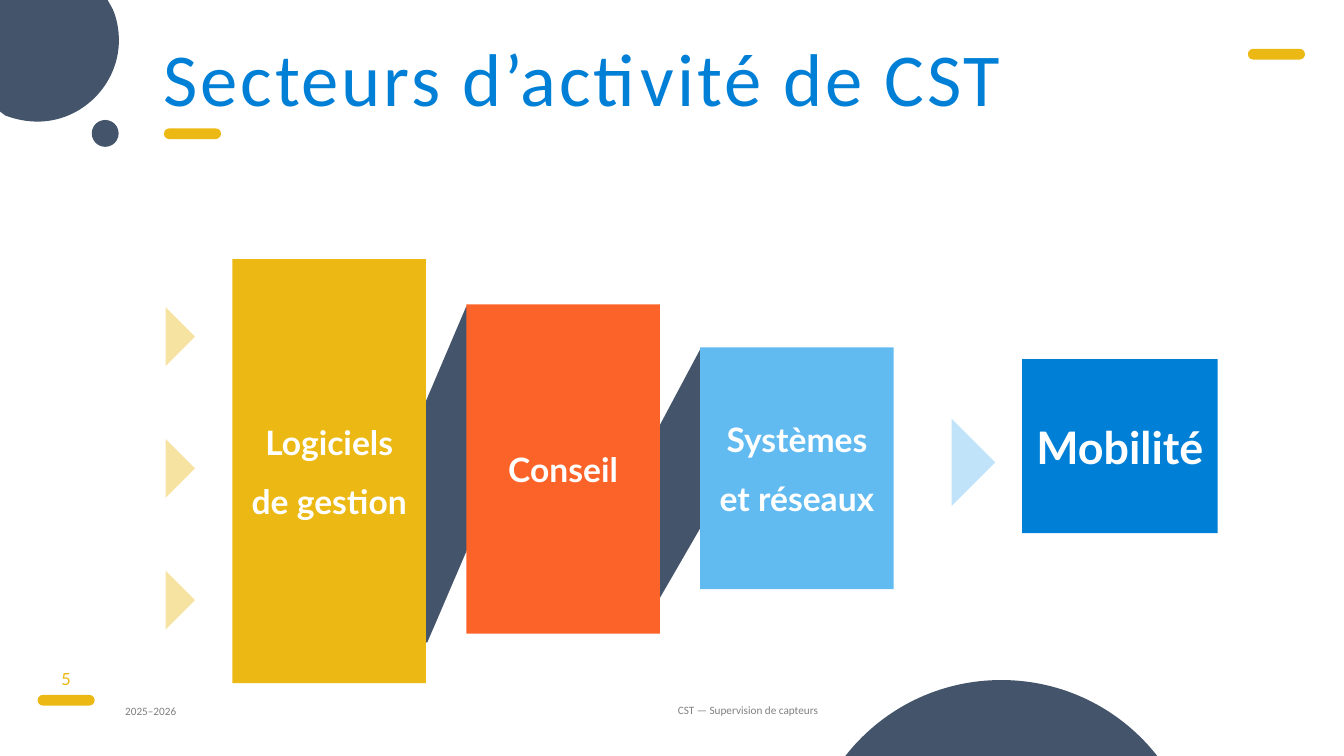
from dataclasses import dataclass
from typing import Optional

from lxml.etree import SubElement
from pptx import Presentation
from pptx.dml.color import RGBColor
from pptx.enum.shapes import MSO_SHAPE as Shape
from pptx.enum.text import MSO_ANCHOR as Anchor, PP_ALIGN as Align
from pptx.oxml.ns import qn
from pptx.util import Inches, Pt

COLS, ROWS = 100, 56.25
CELL = Inches(10) / COLS


@dataclass(frozen=True)
class Theme:
    navy: str = "44546A"
    gold: str = "EBB814"
    pale_gold: str = "F7E3A1"
    orange: str = "FC6328"
    sky: str = "61BAF0"
    pale_sky: str = "C0E3F9"
    blue: str = "007FD6"
    white: str = "FFFFFF"
    grey: str = "808080"
    body_font: str = "Lato"
    base_font: str = "Calibri"
    title: int = 40
    result: int = 24
    sector: int = 18
    number: int = 10
    footer: int = 6


@dataclass(frozen=True)
class Box:
    col: float
    row: float
    cols: float
    rows: float

    def emu(self) -> list[int]:
        return [cells(v) for v in (self.col, self.row, self.cols, self.rows)]


@dataclass(frozen=True)
class Sector:
    lines: tuple[str, ...]
    box: Box
    color: str
    size: int


Step = tuple[float, ...]
T = Theme()
SECTOR_COL, SECTOR_STEP, SECTOR_COLS = 17.3, 17.4, 14.4


def sector_box(index: int, row: float, rows: float) -> Box:
    return Box(SECTOR_COL + index * SECTOR_STEP, row, SECTOR_COLS, rows)


SECTORS = (
    Sector(("Logiciels", "de gestion"), sector_box(0, 19.28, 31.56), T.gold, T.sector),
    Sector(("Conseil",), sector_box(1, 22.65, 24.5), T.orange, T.sector),
    Sector(("Systèmes", "et réseaux"), sector_box(2, 25.85, 18), T.sky, T.sector),
    Sector(("Mobilité",), Box(76.05, 26.73, 14.56, 12.95), T.blue, T.result),
)
OUTLINES: tuple[tuple[Step, ...], ...] = (
    ((41.6, 45.7), (52.1, 26), (58.7, 27.9), (49.1, 44.5)),
    ((23.5, 49.1), (34.7, 22.8), (41.5, 25.2), (31.8, 47.8)),
    ((0, -0.2), (7.9, -0.2), (8.4, 0.7), (8.7, 1.4, 8.85, 2.2, 8.85, 3),
     (8.85, 6.3, 6.1, 9.05, 2.8, 9.05), (2, 9.05, 1.2, 8.9, 0.4, 8.6), (0, 8.3)),
    ((74.5, 50.6), (79.1, 50.6, 83.2, 52.7, 85.9, 56), (86.1, ROWS), (62.9, ROWS),
     (63.1, 56), (65.8, 52.7, 69.9, 50.6, 74.5, 50.6)),
)
DASHES = ((92.85, 3.63), (2.8, 51.7), (12.2, 9.55))
ARROWS = [(Box(10.77, 23.5 + 9.8 * i, 3.1, 3.1), T.pale_gold) for i in range(3)]
ARROWS.append((Box(68.5, 32.1, 4.6, 4.6), T.pale_sky))


def cells(value: float) -> int:
    return round(value * CELL)


def paint(sp, color: str) -> None:
    sp.shadow.inherit = False
    sp.fill.solid()
    sp.fill.fore_color.rgb = RGBColor.from_string(color)
    sp.line.fill.background()


def add_preset(slide, kind: Shape, box: Box, color: str):
    sp = slide.shapes.add_shape(kind, *box.emu())
    paint(sp, color)
    return sp


def add_outline(slide, steps: tuple[Step, ...], color: str) -> None:
    pairs = [(cells(s[i]), cells(s[i + 1])) for s in steps for i in range(0, len(s), 2)]
    builder = slide.shapes.build_freeform(*pairs[0], scale=1.0)
    builder.add_line_segments(pairs[1:], close=True)
    sp = builder.convert_to_shape()
    lines = iter(list(sp._element.iter(qn("a:lnTo"))))
    for step in steps[1:]:
        first = next(lines)
        if len(step) == 6:
            curve = SubElement(first.getparent(), qn("a:cubicBezTo"))
            first.addprevious(curve)
            for line in (first, next(lines), next(lines)):
                curve.append(line[0])
                line.getparent().remove(line)
    paint(sp, color)


def write(sp, *lines: str, size: int, color: str, font: str = T.base_font,
          bold: bool = False, align: Align = Align.CENTER,
          anchor: Anchor = Anchor.MIDDLE, inset: Optional[float] = 0,
          before: float = 0, spacing: float = 0) -> None:
    tf = sp.text_frame
    tf.word_wrap = True
    tf.vertical_anchor = anchor
    if inset is not None:
        tf.margin_left = tf.margin_right = cells(inset)
        tf.margin_top = tf.margin_bottom = cells(inset)
    for i, line in enumerate(lines):
        p = tf.add_paragraph() if i else tf.paragraphs[0]
        p.alignment = align
        if i:
            p.space_before = Pt(before)
        r = p.add_run()
        r.text = line
        r.font.name, r.font.size, r.font.bold = font, Pt(size), bold
        r.font.color.rgb = RGBColor.from_string(color)
        if spacing:
            r.font._element.set("spc", str(round(spacing * 100)))


def add_text(slide, box: Box, text: str, **style) -> None:
    write(slide.shapes.add_textbox(*box.emu()), text, **style)


def add_sector(slide, sector: Sector) -> None:
    sp = add_preset(slide, Shape.RECTANGLE, sector.box, sector.color)
    write(sp, *sector.lines, size=sector.size, color=T.white,
          font=T.body_font, bold=True, before=10)


def add_arrow(slide, box: Box, color: str) -> None:
    sp = add_preset(slide, Shape.HALF_FRAME, box, color)
    sp.adjustments[0], sp.adjustments[1] = 0.07, 1
    sp.rotation = 135


def main() -> None:
    prs = Presentation()
    prs.slide_width, prs.slide_height = cells(COLS), cells(ROWS)
    slide = prs.slides.add_slide(prs.slide_layouts[6])

    for steps in OUTLINES:
        add_outline(slide, steps, T.navy)
    for col, row in DASHES:
        sp = add_preset(slide, Shape.ROUNDED_RECTANGLE, Box(col, row, 4.25, 0.8), T.gold)
        sp.adjustments[0] = 0.5
    add_preset(slide, Shape.OVAL, Box(6.83, 8.93, 2, 2), T.navy)
    for box, color in ARROWS:
        add_arrow(slide, box, color)

    add_text(slide, Box(12.2, 2.4, 79.7, 6.6), "Secteurs d’activité de CST",
             size=T.title, color=T.blue, align=Align.LEFT, anchor=Anchor.TOP, spacing=1.5)
    for sector in SECTORS:
        add_sector(slide, sector)
    add_text(slide, Box(8.33, 51.35, 17.9, 3.1), "2025–2026",
             size=T.footer, color=T.grey, align=Align.LEFT, inset=None)
    add_text(slide, Box(2.8, 49.5, 4.25, 1.9), "5", size=T.number, color=T.gold)
    add_text(slide, Box(27.3, 51.25, 56.7, 3.1), "CST — Supervision de capteurs",
             size=T.footer, color=T.grey, inset=None)
    prs.save("out.pptx")


if __name__ == "__main__":
    main()
